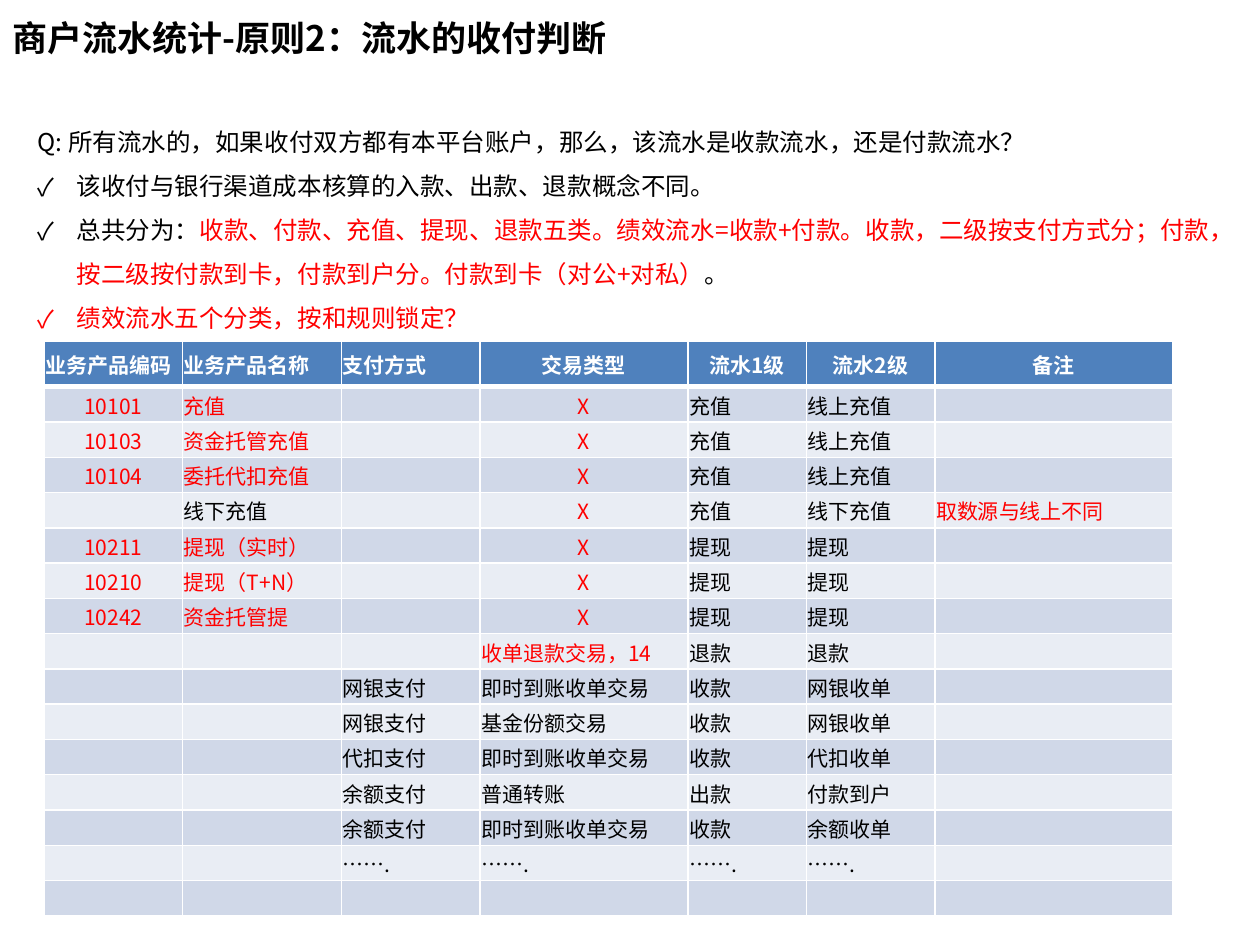
from dataclasses import dataclass

from lxml.etree import SubElement
from pptx import Presentation
from pptx.dml.color import RGBColor as RGB
from pptx.enum.text import MSO_ANCHOR as ANCHOR, PP_ALIGN as ALIGN
from pptx.oxml.ns import qn
from pptx.util import Inches, Pt


@dataclass(frozen=True)
class Theme:
    font: str = "Noto Sans CJK SC"
    black: str = "000000"
    white: str = "FFFFFF"
    red: str = "FF0000"
    header: str = "4F81BD"
    bands: tuple = ("D0D8E8", "E9EDF4")
    title_size: int = 20
    body_size: int = 14
    table_size: int = 12


T = Theme()

TITLE = "商户流水统计-原则2：流水的收付判断"
QUESTION = "Q: 所有流水的，如果收付双方都有本平台账户，那么，该流水是收款流水，还是付款流水？"
POINTS = [
    [("该收付与银行渠道成本核算的入款、出款、退款概念不同。", T.black)],
    [
        ("总共分为：", T.black),
        ("收款、付款、充值、提现、退款五类。绩效流水=收款+付款。收款，二级按支付方式分；"
         "付款，按二级按付款到卡，付款到户分。付款到卡（对公+对私）", T.red),
        ("。", T.black),
    ],
    [("绩效流水五个分类，按和规则锁定？", T.red)],
]

COLUMN_WIDTHS = [1.1, 1.26, 1.1, 1.65, 0.94, 1.02, 1.89]
HEADER_HEIGHT, ROW_HEIGHT = 0.36, 0.28
HEADERS = ["业务产品编码", "业务产品名称", "支付方式", "交易类型", "流水1级", "流水2级", "备注"]
ROWS = [
    ["10101", "充值", "", "X", "充值", "线上充值", ""],
    ["10103", "资金托管充值", "", "X", "充值", "线上充值", ""],
    ["10104", "委托代扣充值", "", "X", "充值", "线上充值", ""],
    ["", "线下充值", "", "X", "充值", "线下充值", "取数源与线上不同"],
    ["10211", "提现（实时）", "", "X", "提现", "提现", ""],
    ["10210", "提现（T+N）", "", "X", "提现", "提现", ""],
    ["10242", "资金托管提", "", "X", "提现", "提现", ""],
    ["", "", "", "收单退款交易，14", "退款", "退款", ""],
    ["", "", "网银支付", "即时到账收单交易", "收款", "网银收单", ""],
    ["", "", "网银支付", "基金份额交易", "收款", "网银收单", ""],
    ["", "", "代扣支付", "即时到账收单交易", "收款", "代扣收单", ""],
    ["", "", "余额支付", "普通转账", "出款", "付款到户", ""],
    ["", "", "余额支付", "即时到账收单交易", "收款", "余额收单", ""],
    ["", "", "…….", "…….", "…….", "…….", ""],
    [""] * 7,
]
RED_COLUMNS = {0, 1, 3, 6}
LAST_RED_ROW = 8


def add_run(p, text, size, color, bold=False):
    r = p.add_run()
    r.text = text
    r.font.size = Pt(size)
    r.font.name = T.font
    r.font.bold = bold
    r.font.color.rgb = RGB.from_string(color)
    SubElement(r.font._element, qn("a:ea"), typeface=T.font)


def add_text_frame(slide, box, anchor):
    tf = slide.shapes.add_textbox(*map(Inches, box)).text_frame
    tf.word_wrap = True
    tf.vertical_anchor = anchor
    return tf


def add_title(slide, box):
    tf = add_text_frame(slide, box, ANCHOR.MIDDLE)
    add_run(tf.paragraphs[0], TITLE, T.title_size, T.black, bold=True)


def set_bullet(p, char, indent):
    pPr = p._p.get_or_add_pPr()
    pPr.set("marL", str(indent))
    pPr.set("indent", str(-indent))
    SubElement(pPr, qn("a:buFont"), typeface=T.font)
    SubElement(pPr, qn("a:buChar"), char=char)


def add_question(slide, box):
    tf = add_text_frame(slide, box, ANCHOR.TOP)
    p = tf.paragraphs[0]
    p.line_spacing = 1.5
    add_run(p, QUESTION, T.body_size, T.black)
    for point in POINTS:
        p = tf.add_paragraph()
        p.line_spacing = 1.5
        set_bullet(p, "✓", Inches(0.31))
        for text, color in point:
            add_run(p, text, T.body_size, color)


def set_borders(cell, top, bottom):
    tcPr = cell._tc.get_or_add_tcPr()
    for tag, width in (("lnL", 1), ("lnR", 1), ("lnT", top), ("lnB", bottom)):
        ln = SubElement(tcPr, qn(f"a:{tag}"), w=str(Pt(width)))
        fill = SubElement(ln, qn("a:solidFill"))
        SubElement(fill, qn("a:srgbClr"), val=T.white)


def cell_color(row, col, text):
    if row == 0:
        return T.white
    if row <= LAST_RED_ROW and col in RED_COLUMNS and text != "线下充值":
        return T.red
    return T.black


def is_centered(row, col, text):
    return col >= 3 if row == 0 else col == 0 or text == "X"


def fill_cell(cell, row, col, text):
    set_borders(cell, top=3 if row == 1 else 1, bottom=3 if row == 0 else 1)
    cell.fill.solid()
    fill = T.bands[(row - 1) % 2] if row else T.header
    cell.fill.fore_color.rgb = RGB.from_string(fill)
    cell.margin_left = cell.margin_right = cell.margin_top = Inches(0.01)
    cell.margin_bottom = 0
    cell.vertical_anchor = ANCHOR.MIDDLE
    p = cell.text_frame.paragraphs[0]
    if text:
        p.alignment = ALIGN.CENTER if is_centered(row, col, text) else ALIGN.LEFT
        add_run(p, text, T.table_size, cell_color(row, col, text), bold=row == 0)
    else:
        SubElement(p._p, qn("a:endParaRPr"), sz=str(T.table_size * 100))


def add_flow_table(slide, box):
    data = [HEADERS] + ROWS
    frame = slide.shapes.add_table(len(data), len(HEADERS), *map(Inches, box))
    table = frame.table
    for column, width in zip(table.columns, COLUMN_WIDTHS):
        column.width = Inches(width)
    for i, values in enumerate(data):
        table.rows[i].height = Inches(ROW_HEIGHT if i else HEADER_HEIGHT)
        for j, text in enumerate(values):
            fill_cell(table.cell(i, j), i, j, text)


def main():
    prs = Presentation()
    prs.slide_width, prs.slide_height = Inches(10), Inches(7.5)
    slide = prs.slides.add_slide(prs.slide_layouts[6])
    add_title(slide, (0, -0.01, 7.36, 0.61))
    add_question(slide, (0.2, 0.84, 9.61, 1.87))
    add_flow_table(slide, (0.35, 2.71, 8.98, 4.59))
    prs.save("out.pptx")


if __name__ == "__main__":
    main()
